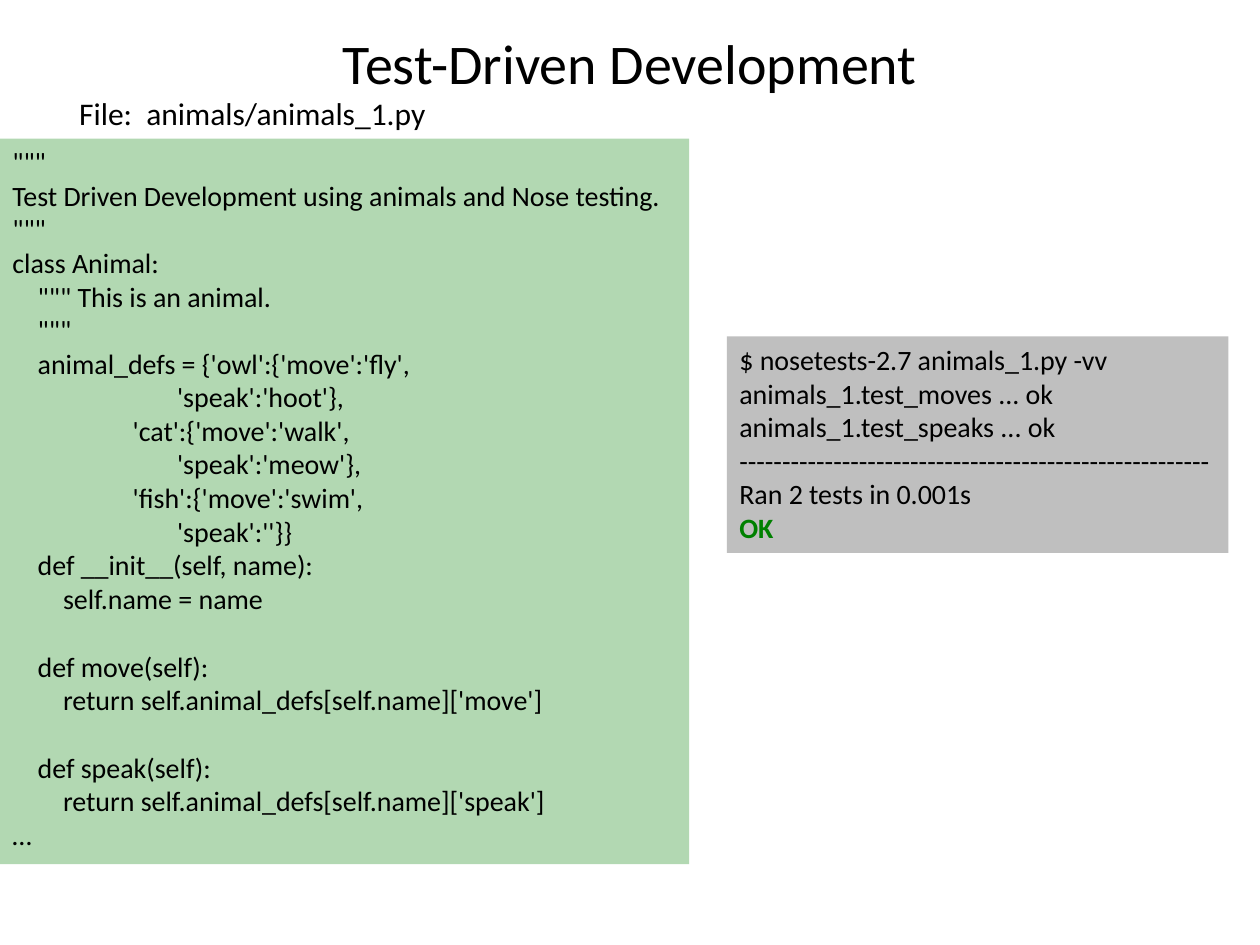
from lxml.etree import SubElement
from pptx import Presentation
from pptx.dml.color import RGBColor
from pptx.enum.shapes import MSO_SHAPE
from pptx.enum.text import MSO_ANCHOR, MSO_AUTO_SIZE, PP_ALIGN
from pptx.oxml.ns import qn
from pptx.util import Pt

# Content: each line is (indent in characters, blank lines before, text)
TITLE = "Test-Driven Development"
FILE_LABEL = [(0, 0, "File:  animals/animals_1.py")]
CODE = [
    (0, 0, '"""'),
    (0, 0, "Test Driven Development using animals and Nose testing."),
    (0, 0, '"""'),
    (0, 0, "class Animal:"),
    (4, 0, '""" This is an animal.'),
    (4, 0, '"""'),
    (4, 0, "animal_defs = {'owl':{'move':'fly',"),
    (26, 0, "'speak':'hoot'},"),
    (19, 0, "'cat':{'move':'walk',"),
    (26, 0, "'speak':'meow'},"),
    (19, 0, "'fish':{'move':'swim',"),
    (26, 0, "'speak':''}}"),
    (4, 0, "def __init__(self, name):"),
    (8, 0, "self.name = name"),
    (4, 1, "def move(self):"),
    (8, 0, "return self.animal_defs[self.name]['move']"),
    (4, 1, "def speak(self):"),
    (8, 0, "return self.animal_defs[self.name]['speak']"),
    (0, 0, "…"),
]
OUTPUT = [
    (0, 0, "$ nosetests-2.7 animals_1.py -vv"),
    (0, 0, "animals_1.test_moves ... ok"),
    (0, 0, "animals_1.test_speaks ... ok"),
    (0, 0, "-" * 55),
    (0, 0, "Ran 2 tests in 0.001s"),
    (0, 0, "OK"),
]

# Formats and places in points: left, top, width, height
TITLE_FORMAT = {"name": "Calibri", "size": Pt(32)}
LABEL_FORMAT = {"name": "Calibri", "size": Pt(18)}
CODE_FORMAT = {"name": "Calibri", "size": Pt(16)}
TITLE_PLACE = (144.7, 15.8, 430.6, 38.9)
LABEL_PLACE = (38.2, 50.4, 213.1, 28.8)
CODE_PLACE = (0, 79.2, 393.8, 414.7)
OUTPUT_PLACE = (415.4, 192.2, 286.6, 123.8)
SPACE_WIDTH = 3.62
LINE_HEIGHT = 19.5


def color(value):
    return RGBColor.from_string(value)


def format_span(span, values, ink="000000"):
    for name, value in values.items():
        setattr(span.font, name, value)
    span.font.color.rgb = color(ink)


def write_lines(box, lines, values):
    frame = box.text_frame
    frame.word_wrap = True
    frame.auto_size = MSO_AUTO_SIZE.SHAPE_TO_FIT_TEXT
    frame.vertical_anchor = MSO_ANCHOR.TOP
    for number, (indent, blanks, text) in enumerate(lines):
        para = frame.add_paragraph() if number else frame.paragraphs[0]
        para.alignment = PP_ALIGN.LEFT
        if indent:
            margin = Pt(indent * SPACE_WIDTH)
            para._p.get_or_add_pPr().set("marL", str(margin))
        if blanks:
            para.space_before = Pt(blanks * LINE_HEIGHT)
        span = para.add_run()
        span.text = text
        format_span(span, values)


def add_panel(page, place, lines, fill, opacity=100):
    panel = page.shapes.add_shape(MSO_SHAPE.RECTANGLE, *map(Pt, place))
    panel.shadow.inherit = False
    panel.line.fill.background()
    panel.fill.solid()
    panel.fill.fore_color.rgb = color(fill)
    if opacity < 100:
        tint = panel._element.spPr.find(qn("a:solidFill"))[0]
        SubElement(tint, qn("a:alpha")).set("val", str(opacity * 1000))
    write_lines(panel, lines, CODE_FORMAT)
    return panel


def main():
    deck = Presentation()
    deck.slide_width, deck.slide_height = Pt(720), Pt(540)
    page = deck.slides.add_slide(deck.slide_layouts[5])

    # Title
    title = page.shapes.title
    title.left, title.top, title.width, title.height = map(Pt, TITLE_PLACE)
    frame = title.text_frame
    frame.auto_size = MSO_AUTO_SIZE.SHAPE_TO_FIT_TEXT
    frame.vertical_anchor = MSO_ANCHOR.MIDDLE
    for side in ("left", "top", "right", "bottom"):
        setattr(frame, f"margin_{side}", 0)
    para = frame.paragraphs[0]
    para.alignment = PP_ALIGN.CENTER
    span = para.add_run()
    span.text = TITLE
    format_span(span, TITLE_FORMAT)

    # Code listing and its file name
    add_panel(page, CODE_PLACE, CODE, "008000", 30)
    label = page.shapes.add_textbox(*map(Pt, LABEL_PLACE))
    write_lines(label, FILE_LABEL, LABEL_FORMAT)

    # Test run, with the verdict in bold green
    output = add_panel(page, OUTPUT_PLACE, OUTPUT, "BFBFBF")
    verdict = output.text_frame.paragraphs[-1].runs[0]
    format_span(verdict, {"bold": True}, "008000")

    deck.save("out.pptx")


if __name__ == "__main__":
    main()
